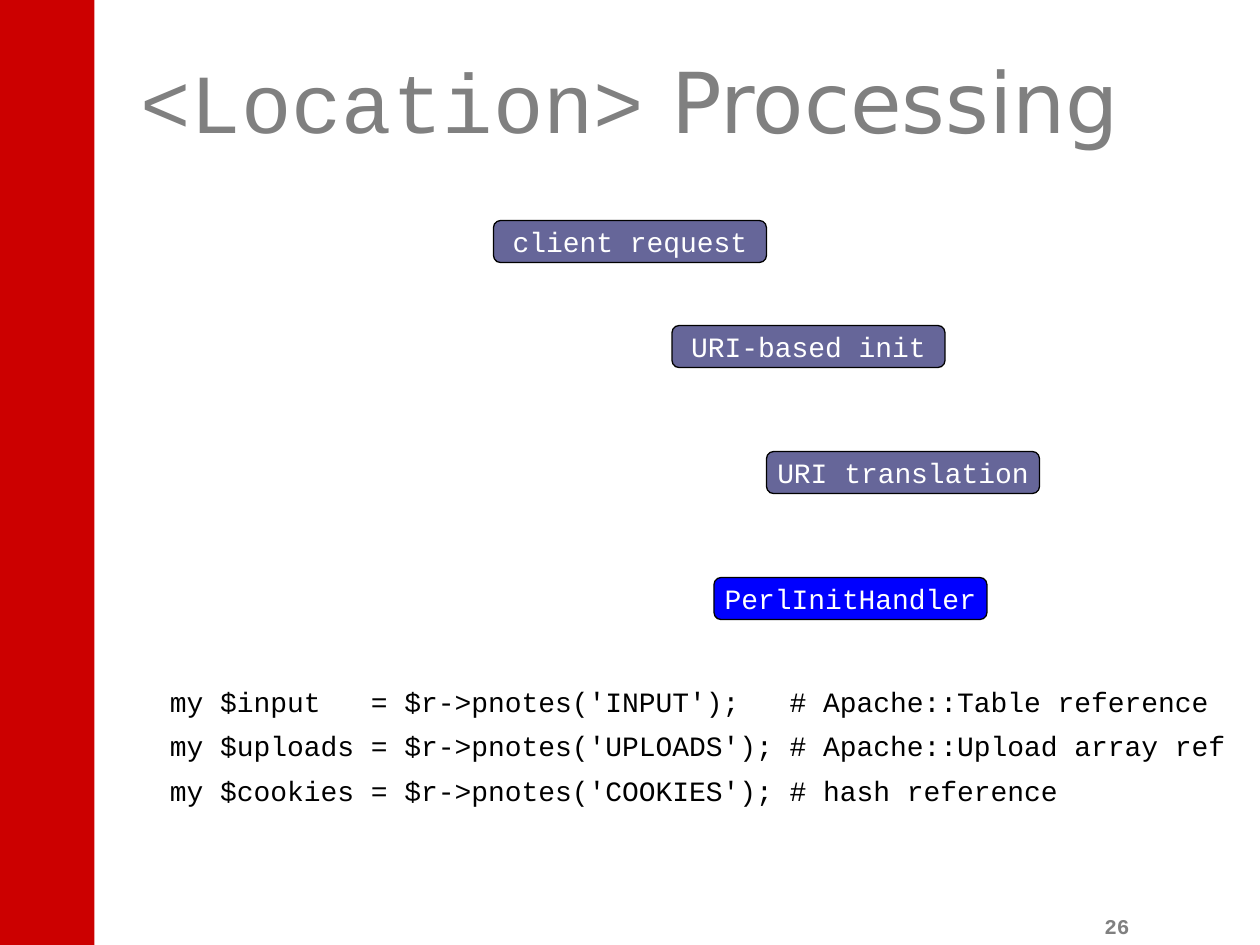
from pptx import Presentation
from pptx.dml.color import RGBColor
from pptx.enum.shapes import MSO_SHAPE
from pptx.enum.text import MSO_ANCHOR, MSO_AUTO_SIZE, PP_ALIGN
from pptx.util import Pt

PX = 9525
RECTANGLE = MSO_SHAPE.RECTANGLE
ROUNDED = MSO_SHAPE.ROUNDED_RECTANGLE
MIDDLE, BOTTOM = MSO_ANCHOR.MIDDLE, MSO_ANCHOR.BOTTOM
NO_FIT = MSO_AUTO_SIZE.NONE
CENTER = PP_ALIGN.CENTER
MONO, SANS = "Courier New", "DejaVu Sans"
COLORS = {
    "band": "CC0000",
    "heading": "808080",
    "phase": "666699",
    "current": "0000FF",
    "ink": "000000",
    "label": "FFFFFF",
}

PHASE_SIZE = (208, 32)
PHASES = [
    ("client request", 376, 168, "phase"),
    ("URI-based init", 512, 248, "phase"),
    ("URI translation", 584, 344, "phase"),
    ("PerlInitHandler", 544, 440, "current"),
]
CODE = [
    "my $input   = $r->pnotes('INPUT');   # Apache::Table reference",
    "my $uploads = $r->pnotes('UPLOADS'); # Apache::Upload array ref",
    "my $cookies = $r->pnotes('COOKIES'); # hash reference",
]


def emu(box):
    return [length * PX for length in box]


def color(name):
    return RGBColor.from_string(COLORS[name])


def style(font, size, name, ink, bold=False):
    font.size = Pt(size)
    font.name = name
    font.bold = bold
    font.color.rgb = color(ink)


def add_block(page, kind, box, fill):
    shape = page.shapes.add_shape(kind, *emu(box))
    shape.shadow.inherit = False
    shape.fill.solid()
    shape.fill.fore_color.rgb = color(fill)
    return shape


def add_band(page, box):
    add_block(page, RECTANGLE, box, "band").line.fill.background()


def add_title(page, box):
    title = page.shapes.title
    title.left, title.top, title.width, title.height = emu(box)
    frame = title.text_frame
    frame.auto_size = NO_FIT
    frame.vertical_anchor = MIDDLE
    para = frame.paragraphs[0]
    para.alignment = CENTER
    for text, name in (("<Location>", MONO), (" Processing", SANS)):
        span = para.add_run()
        span.text = text
        style(span.font, 48, name, "heading")


def add_phase(page, box, label, fill):
    shape = add_block(page, ROUNDED, box, fill)
    shape.line.color.rgb = color("ink")
    shape.line.width = Pt(0.75)
    frame = shape.text_frame
    frame.word_wrap = False
    frame.vertical_anchor = MIDDLE
    para = frame.paragraphs[0]
    para.text = label
    para.alignment = CENTER
    style(para.font, 16, MONO, "label")


def add_code(page, box, lines):
    frame = page.shapes.add_textbox(*emu(box)).text_frame
    frame.word_wrap = True
    frame.text = "\n".join(lines)
    for para in frame.paragraphs:
        para.level = 1
        para.line_spacing = 0.9
        para.space_before = para.space_after = Pt(4)
        properties = para._p.get_or_add_pPr()
        properties.set("marL", str(48 * PX))
        properties.set("indent", "0")
        style(para.font, 16, MONO, "ink")


def add_page_number(page, box, number):
    frame = page.shapes.add_textbox(*emu(box)).text_frame
    frame.word_wrap = True
    frame.vertical_anchor = BOTTOM
    para = frame.paragraphs[0]
    para.text = number
    style(para.font, 12, MONO, "heading", bold=True)


def main():
    deck = Presentation()
    deck.slide_width, deck.slide_height = emu((960, 720))
    page = deck.slides.add_slide(deck.slide_layouts.get_by_name("Title Only"))
    add_band(page, (0, 0, 72, 720))
    add_title(page, (72, 16, 816, 120))
    for label, left, top, fill in PHASES:
        add_phase(page, (left, top, *PHASE_SIZE), label, fill)
    add_code(page, (72, 520, 888, 145), CODE)
    add_page_number(page, (832, 672, 56, 48), "26")
    deck.save("out.pptx")


if __name__ == "__main__":
    main()
